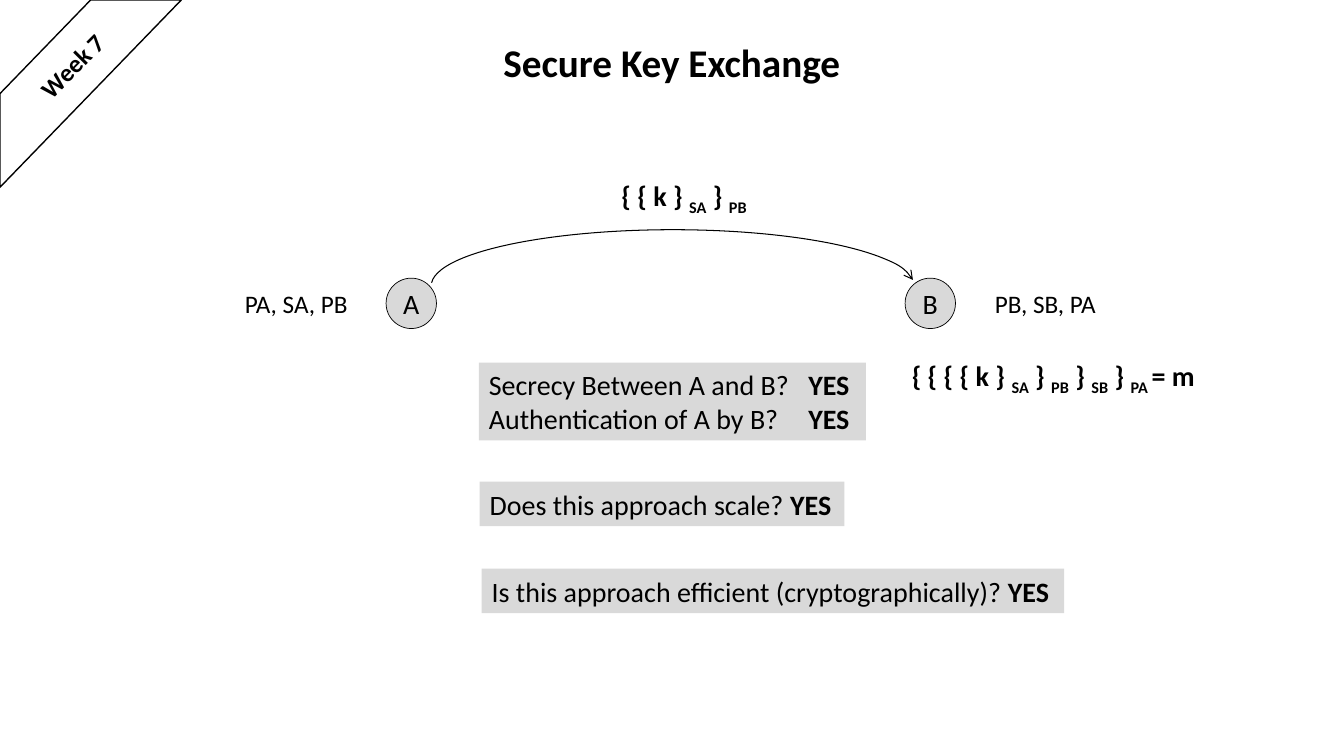
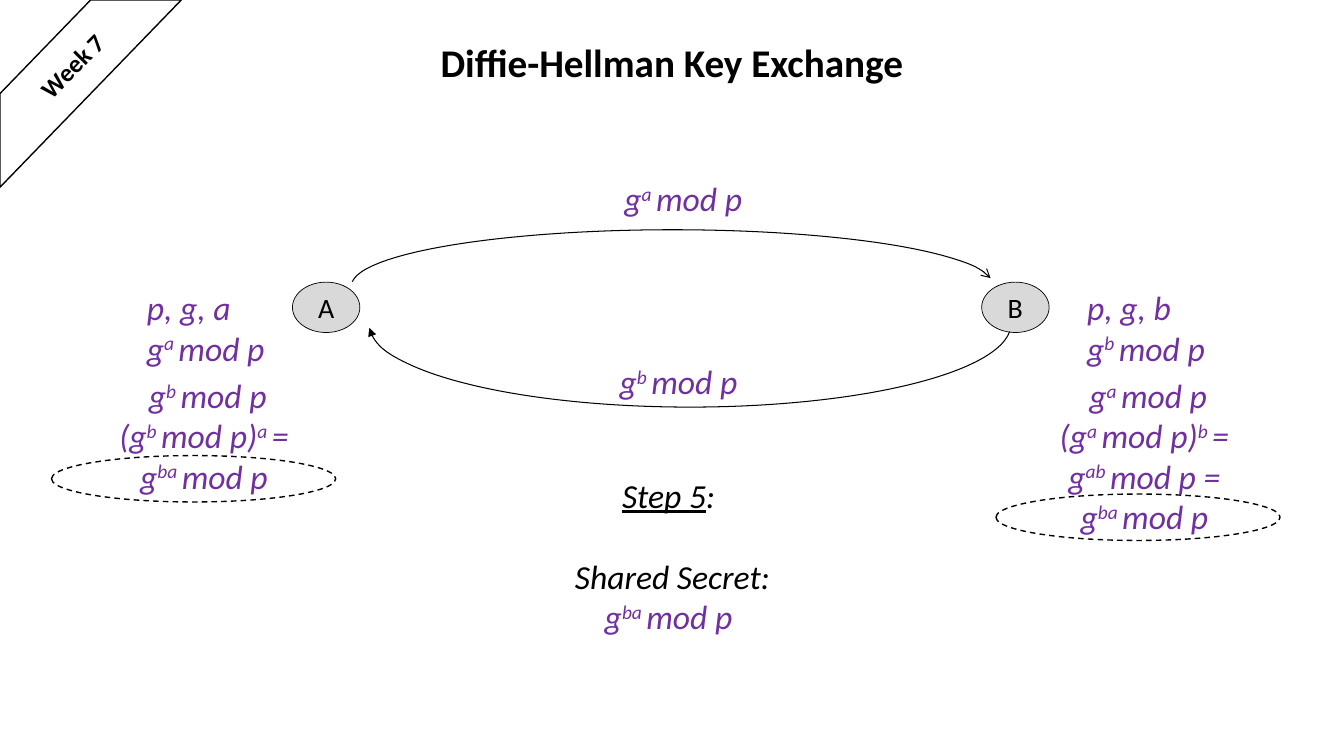
from dataclasses import dataclass

from lxml import etree
from pptx import Presentation
from pptx.dml.color import RGBColor
from pptx.enum import dml, shapes, text
from pptx.oxml.ns import qn
from pptx.util import Cm, Pt


@dataclass(frozen=True)
class Theme:
    font: str = "Calibri"
    ink: RGBColor = RGBColor(0, 0, 0)
    paper: RGBColor = RGBColor(255, 255, 255)
    panel: RGBColor = RGBColor(0xD9, 0xD9, 0xD9)
    secret: RGBColor = RGBColor(0x70, 0x30, 0xA0)
    title: Pt = Pt(28)
    formula: Pt = Pt(24)
    body: Pt = Pt(20)
    small: Pt = Pt(18)


theme = Theme()
SHAPE = shapes.MSO_SHAPE
LEFT, CENTER = text.PP_ALIGN.LEFT, text.PP_ALIGN.CENTER
PLAIN = {"size": theme.body}
BOLD = {"size": theme.body, "bold": True}
SMALL = {"size": theme.small}
STEP = {"size": theme.formula, "italic": True}
SECRET = {**STEP, "color": theme.secret}
SUB, SUP = {"baseline": "-25000"}, {"baseline": "30000"}
STRONG, UNDERLINED = {"bold": True}, {"underline": True}


def add_figure(slide, kind, place, fill=None, weight=None):
    shape = slide.shapes.add_shape(kind, *map(Cm, place))
    shape.shadow.inherit = False
    if fill is None:
        shape.fill.background()
    else:
        shape.fill.solid()
        shape.fill.fore_color.rgb = fill
    if weight is None:
        shape.line.fill.background()
    else:
        shape.line.color.rgb = theme.ink
        shape.line.width = Pt(weight)
    return shape


def write(frame, lines, formats, accent=None, align=CENTER, tab=None, before=None):
    """Write lines; parts between bars take the accent."""
    frame.word_wrap = False
    for line in lines:
        paragraph = frame.paragraphs[0]
        if paragraph.runs:
            paragraph = frame.add_paragraph()
        paragraph.alignment = align
        if before:
            paragraph.space_before = before
        if tab:
            stops = etree.SubElement(paragraph._p.get_or_add_pPr(), qn("a:tabLst"))
            etree.SubElement(stops, qn("a:tab"), pos=str(tab), algn="l")
        for index, part in enumerate(line.split("|")):
            if not part:
                continue
            run = paragraph.add_run()
            run.text = part
            values = {"name": theme.font, "color": theme.ink, **formats}
            if index % 2:
                values.update(accent)
            for name, value in values.items():
                if name == "color":
                    run.font.color.rgb = value
                elif name == "baseline":
                    run._r.get_or_add_rPr().set(name, value)
                else:
                    setattr(run.font, name, value)


presentation = Presentation()
presentation.slide_width, presentation.slide_height = Cm(33.87), Cm(19.05)
layout = presentation.slide_layouts[5]
heading = layout.placeholders[0]
heading.left, heading.top, heading.width, heading.height = map(Cm, (1.73, 0.05, 30.4, 3.18))

slides = []
for title in ("Secure Key Exchange", "Diffie-Hellman Key Exchange"):
    slide = presentation.slides.add_slide(layout)
    frame = slide.shapes.title.text_frame
    write(frame, [title], {"size": theme.title, "bold": True})
    frame.word_wrap = True
    frame.paragraphs[0].line_spacing = 0.9
    add_figure(slide, SHAPE.DIAGONAL_STRIPE, (0, 0, 4.57, 4.72), theme.paper, 1)
    week = slide.shapes.add_textbox(*map(Cm, (0.58, 1.14, 2.49, 1.02)))
    week.rotation = 314.8
    write(week.text_frame, ["Week 7"], {"size": theme.small, "bold": True}, align=LEFT)
    week.text_frame.auto_size = text.MSO_AUTO_SIZE.SHAPE_TO_FIT_TEXT
    slides.append(slide)
secure, diffie = slides

for slide, name, place in (
    (secure, "A", (9.73, 7.01, 1.27, 1.27)),
    (secure, "B", (22.81, 7.01, 1.27, 1.27)),
    (diffie, "A", (7.37, 7.11, 1.7, 1.27)),
    (diffie, "B", (24.74, 7.11, 1.7, 1.27)),
):
    node = add_figure(slide, SHAPE.OVAL, place, theme.panel, 0.5)
    write(node.text_frame, [name], PLAIN)

for slide, place, end, head, flipped in (
    (secure, (10.87, 5.79, 12.17, 2.82), "a:tailEnd", "arrow", False),
    (diffie, (8.86, 5.79, 16.18, 2.82), "a:tailEnd", "arrow", False),
    (diffie, (9.3, 6.07, 16.18, 4.19), "a:headEnd", "triangle", True),
):
    arc = add_figure(slide, SHAPE.ARC, place, weight=0.75)
    arc.adjustments[0], arc.adjustments[1] = 108.42, 215.18
    properties = arc.element.spPr
    etree.SubElement(properties.find(qn("a:ln")), qn(end), type=head)
    if flipped:
        properties.find(qn("a:xfrm")).set("flipV", "1")

for place, lines, tab in (
    (
        (12.07, 9.14, 9.75, 1.96),
        ["Secrecy Between A and B?\t|YES", "Authentication of A by B?\t|YES"],
        Cm(8.05),
    ),
    ((12.09, 12.14, 9.19, 1.12), ["Does this approach scale? |YES"], None),
    ((12.14, 14.33, 14.68, 1.12), ["Is this approach efficient (cryptographically)? |YES"], None),
):
    answer = add_figure(secure, SHAPE.RECTANGLE, place, theme.panel)
    write(answer.text_frame, lines, PLAIN, STRONG, LEFT, tab)

for slide, place, lines, formats, accent, align in (
    (secure, (15.32, 4.37, 3.84, 1.12), ["{ { k } |SA| } |PB"], BOLD, SUB, CENTER),
    (secure, (5.92, 7.14, 3.18, 1.02), ["PA, SA, PB"], SMALL, None, LEFT),
    (secure, (24.82, 7.14, 3.15, 1.02), ["PB, SB, PA"], SMALL, None, LEFT),
    (
        secure,
        (22.43, 8.92, 8.23, 1.12),
        ["{ { { { k } |SA| } |PB| } |SB| } |PA |= m"],
        BOLD,
        SUB,
        CENTER,
    ),
    (diffie, (3.45, 7.11, 3.56, 2.31), ["p, g, a", "g|a |mod p"], SECRET, SUP, LEFT),
    (diffie, (27.15, 7.11, 3.56, 2.31), ["p, g, b", "g|b |mod p"], SECRET, SUP, LEFT),
    (diffie, (15.44, 4.37, 3.56, 1.27), ["g|a |mod p"], SECRET, SUP, CENTER),
    (diffie, (15.32, 8.97, 3.56, 1.27), ["g|b |mod p"], SECRET, SUP, CENTER),
    (
        diffie,
        (2.67, 9.32, 5.13, 3.33),
        ["g|b |mod p", "(g|b |mod p)|a |= ", "g|ba |mod p "],
        SECRET,
        SUP,
        CENTER,
    ),
    (
        diffie,
        (26.37, 9.32, 5.13, 4.32),
        ["g|a |mod p", "(g|a |mod p)|b |= ", "g|ab |mod p = ", "g|ba |mod p "],
        SECRET,
        SUP,
        CENTER,
    ),
    (diffie, (14.2, 11.84, 5.49, 5.38), ["|Step 5|: "], STEP, UNDERLINED, CENTER),
):
    label = slide.shapes.add_textbox(*map(Cm, place))
    write(label.text_frame, lines, formats, accent, align)
    label.text_frame.auto_size = text.MSO_AUTO_SIZE.SHAPE_TO_FIT_TEXT

write(label.text_frame, ["Shared Secret:"], STEP, before=Pt(29))
write(label.text_frame, ["g|ba |mod p "], SECRET, SUP)

for left, top in ((1.3, 11.48), (25.1, 12.45)):
    outline = add_figure(diffie, SHAPE.OVAL, (left, top, 7.16, 1.17), weight=1)
    outline.line.dash_style = dml.MSO_LINE.DASH

presentation.save("out.pptx")
